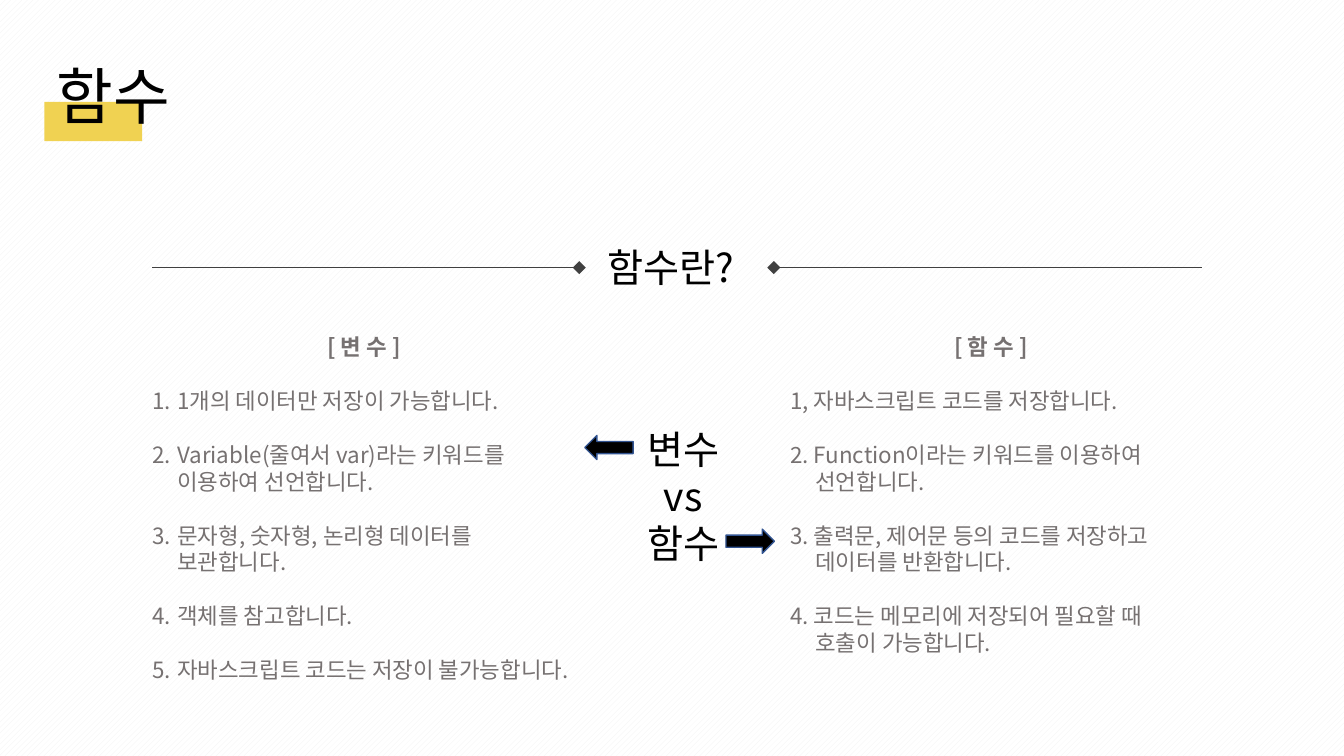
import pptx
import pptx.dml.color
import pptx.enum.dml
import pptx.enum.shapes
import pptx.enum.text
import pptx.oxml.ns
import pptx.util
from lxml import etree

COLORS = {"ink": "000000", "body": "767171", "accent": "F0D252", "rule": "404040",
          "arrow_edge": "325491", "hatch": "F2F2F2", "paper": "FFFFFF"}
FONT = "Noto Sans CJK KR"
LINE_HEIGHT = 1.2
HANG = pptx.util.Inches(0.25)
SHAPE = pptx.enum.shapes.MSO_SHAPE
ALIGN = pptx.enum.text.PP_ALIGN

VARIABLE_POINTS = [
    "1개의 데이터만 저장이 가능합니다.",
    "Variable(줄여서 var)라는 키워드를 이용하여 선언합니다.",
    "문자형, 숫자형, 논리형 데이터를 보관합니다.",
    "객체를 참고합니다.",
    "자바스크립트 코드는 저장이 불가능합니다.",
]
FUNCTION_POINTS = [
    "1, 자바스크립트 코드를 저장합니다.",
    "2. Function이라는 키워드를 이용하여\v선언합니다.",
    "3. 출력문, 제어문 등의 코드를 저장하고\v데이터를 반환합니다.",
    "4. 코드는 메모리에 저장되어 필요할 때\v호출이 가능합니다.",
]


def rgb(name):
    """Return the named palette colour."""
    return pptx.dml.color.RGBColor.from_string(COLORS[name])


def place(box, x, y, w, h):
    """Turn percentages of a box into a left, top, width, height tuple."""
    left, top, width, height = box
    return (round(left + width * x / 100), round(top + height * y / 100),
            round(width * w / 100), round(height * h / 100))


def assign(target, values):
    """Set every attribute in a dict of format values."""
    for name, value in values.items():
        setattr(target, name, value)


def write(paragraph, text, size, color="ink", bold=False, align=ALIGN.LEFT, before=0):
    """Fill a paragraph and format all of its runs."""
    paragraph.text = text
    assign(paragraph, {"alignment": align, "space_before": pptx.util.Pt(before),
                       "line_spacing": pptx.util.Pt(size * LINE_HEIGHT)})
    for run in paragraph.runs:
        assign(run.font, {"size": pptx.util.Pt(size), "bold": bold, "name": FONT})
        run.font.color.rgb = rgb(color)
        east_asian = etree.SubElement(run.font._element, pptx.oxml.ns.qn("a:ea"))
        east_asian.set("typeface", FONT)


def hang(paragraph, numbered):
    """Give a paragraph a hanging indent and, if asked, an automatic number."""
    properties = paragraph._p.get_or_add_pPr()
    properties.set("marL", str(HANG))
    properties.set("indent", str(-HANG))
    if numbered:
        number = etree.SubElement(properties, pptx.oxml.ns.qn("a:buAutoNum"))
        number.set("type", "arabicPeriod")


def prepare(frame):
    """Make a text frame wrap and start at its top."""
    assign(frame, {"word_wrap": True, "vertical_anchor": pptx.enum.text.MSO_ANCHOR.TOP,
                   "auto_size": pptx.enum.text.MSO_AUTO_SIZE.NONE})
    return frame


def add_text(slide, area):
    """Add a wrapping text box and return its frame."""
    return prepare(slide.shapes.add_textbox(*area).text_frame)


def add_solid(slide, kind, area, fill, edge=None):
    """Add a filled preset shape, outlined only when an edge colour is given."""
    solid = slide.shapes.add_shape(kind, *area)
    solid.shadow.inherit = False
    solid.fill.solid()
    solid.fill.fore_color.rgb = rgb(fill)
    if edge:
        solid.line.color.rgb = rgb(edge)
        solid.line.width = pptx.util.Pt(1)
    else:
        solid.line.fill.background()
    return solid


def title_block(slide, box):
    """Place the slide title over its yellow marker."""
    title = slide.shapes.title
    marker = add_solid(slide, SHAPE.RECTANGLE, place(box, 0, 55.7, 25.5, 44.3), "accent")
    title.element.addprevious(marker.element)
    assign(title, dict(zip(("left", "top", "width", "height"),
                           place(box, 0.5, 0, 99.5, 95.4))))
    write(prepare(title.text_frame).paragraphs[0], "함수", 44)


def section_heading(slide, box):
    """Place the centred heading between two ruled lines with diamond ends."""
    left, top, width, height = box
    for x, outer_edge, site in ((40.06, left, 1), (58.6, left + width, 3)):
        rule = slide.shapes.add_connector(
            pptx.enum.shapes.MSO_CONNECTOR.STRAIGHT,
            outer_edge, top + height // 2, outer_edge, top + height // 2)
        diamond = add_solid(slide, SHAPE.DIAMOND, place(box, x, 38.6, 1.25, 22.8), "rule")
        rule.begin_y = diamond.top + diamond.height // 2
        rule.end_connect(diamond, site)
        rule.line.color.rgb = rgb("rule")
        rule.line.width = pptx.util.Pt(0.5)
        etree.SubElement(rule.element.spPr, pptx.oxml.ns.qn("a:effectLst"))
    heading = add_text(slide, place(box, 40.06, 0, 18.73, 100))
    write(heading.paragraphs[0], "함수란?", 28, align=ALIGN.CENTER)


def point_column(slide, box, heading, points, numbered):
    """Place a bold heading above a list of spaced points."""
    column = add_text(slide, box)
    write(column.paragraphs[0], heading, 16, "body", True, ALIGN.CENTER)
    for text in points:
        point = column.add_paragraph()
        write(point, text, 16, "body", before=16 * LINE_HEIGHT)
        hang(point, numbered)


def versus_block(slide, box):
    """Place the comparison words with an arrow towards each column."""
    words = add_text(slide, box)
    for index, word in enumerate(("변수", "vs", "함수")):
        line = words.add_paragraph() if index else words.paragraphs[0]
        write(line, word, 28, align=ALIGN.CENTER)
    for x, y, rotation in ((0, 9.9, 180), (71.8, 71.5, 0)):
        arrow = add_solid(slide, SHAPE.RIGHT_ARROW, place(box, x, y, 24.6, 15.9),
                          "ink", "arrow_edge")
        arrow.rotation = rotation


def hatch_background(slide):
    """Fill the background with pale diagonal stripes."""
    fill = slide.background.fill
    fill.patterned()
    fill.pattern = pptx.enum.dml.MSO_PATTERN.WIDE_UPWARD_DIAGONAL
    fill.fore_color.rgb = rgb("hatch")
    fill.back_color.rgb = rgb("paper")


def main():
    """Build the slide and save it."""
    deck = pptx.Presentation()
    assign(deck, {"slide_width": pptx.util.Inches(13.33),
                  "slide_height": pptx.util.Inches(7.5)})
    page = (0, 0, deck.slide_width, deck.slide_height)
    slide = deck.slides.add_slide(deck.slide_layouts[5])
    hatch_background(slide)
    title_block(slide, place(page, 3.3, 6.93, 28.58, 11.74))
    point_column(slide, place(page, 10.58, 43.47, 33, 44.4), "[ 변 수 ]", VARIABLE_POINTS, True)
    point_column(slide, place(page, 58.06, 43.47, 31.36, 44.4), "[ 함 수 ]", FUNCTION_POINTS, False)
    section_heading(slide, place(page, 11.33, 31.6, 78.09, 7.6))
    versus_block(slide, place(page, 43.51, 55.6, 14.63, 20.13))
    deck.save("out.pptx")


if __name__ == "__main__":
    main()
